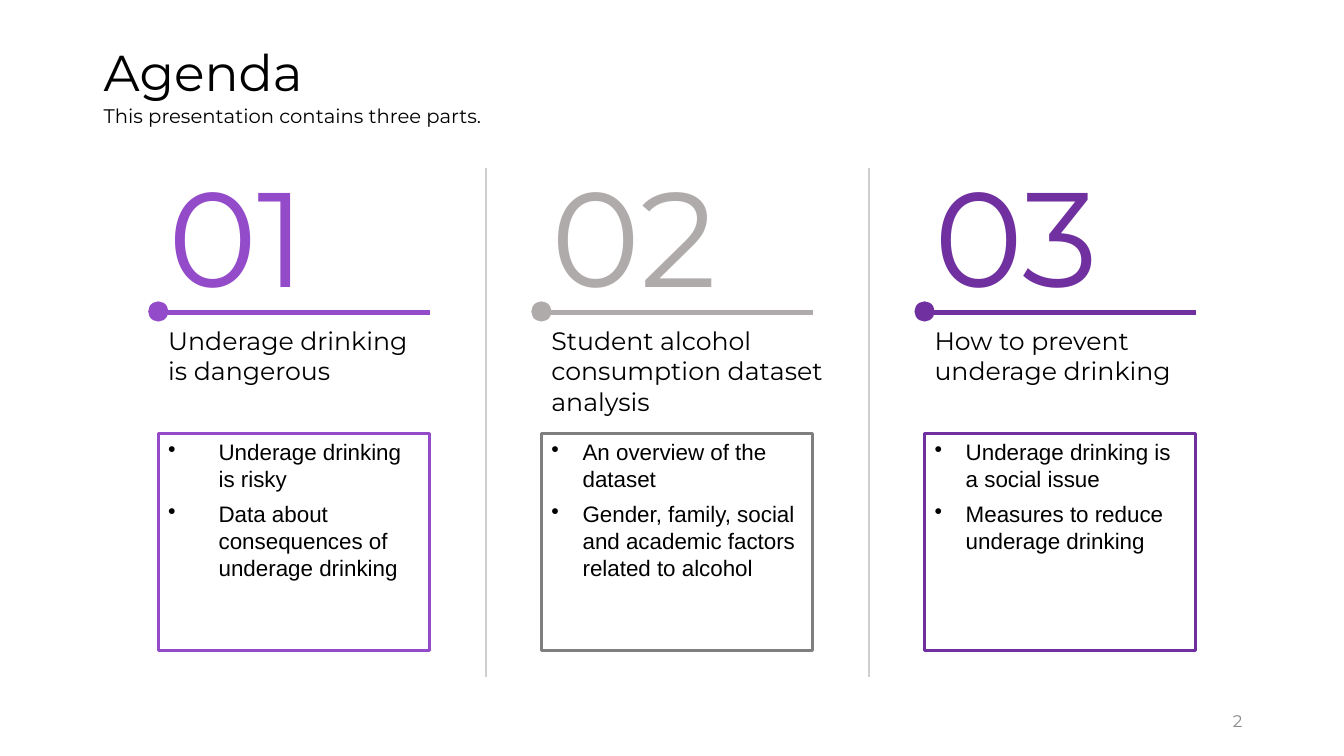
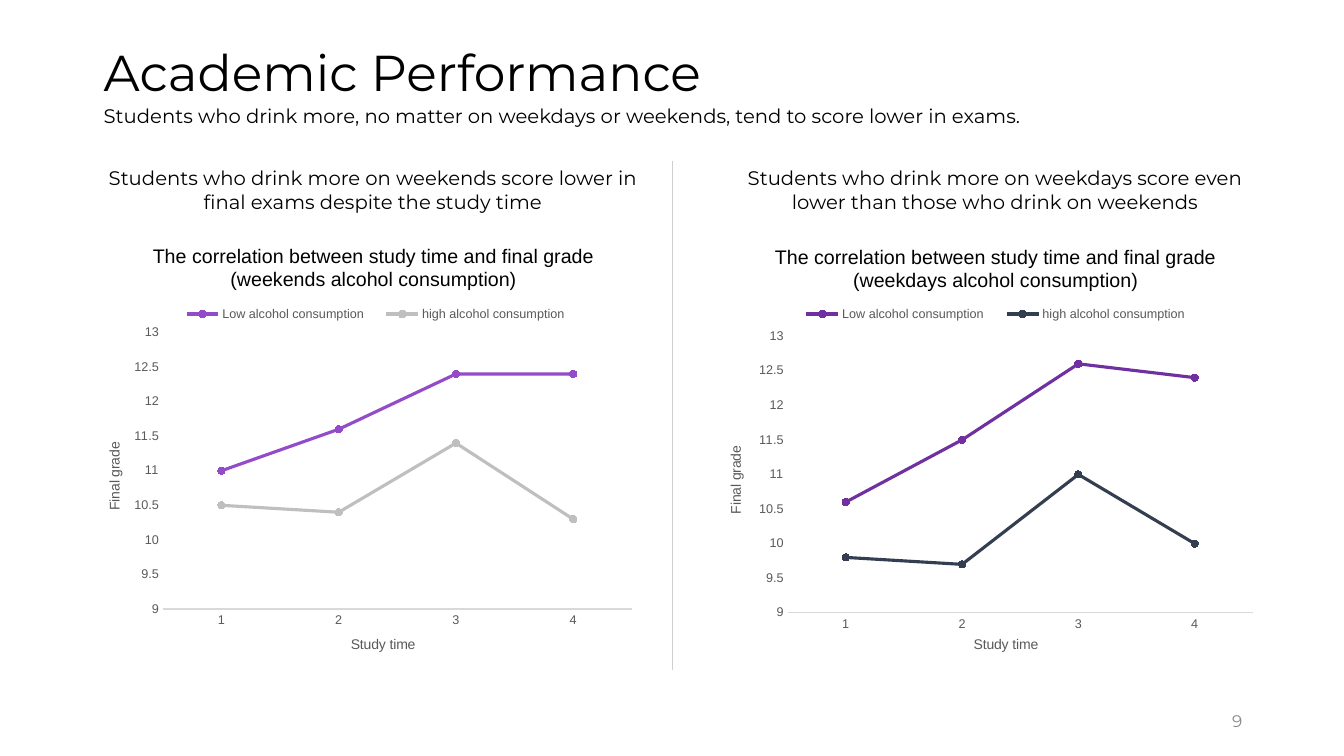
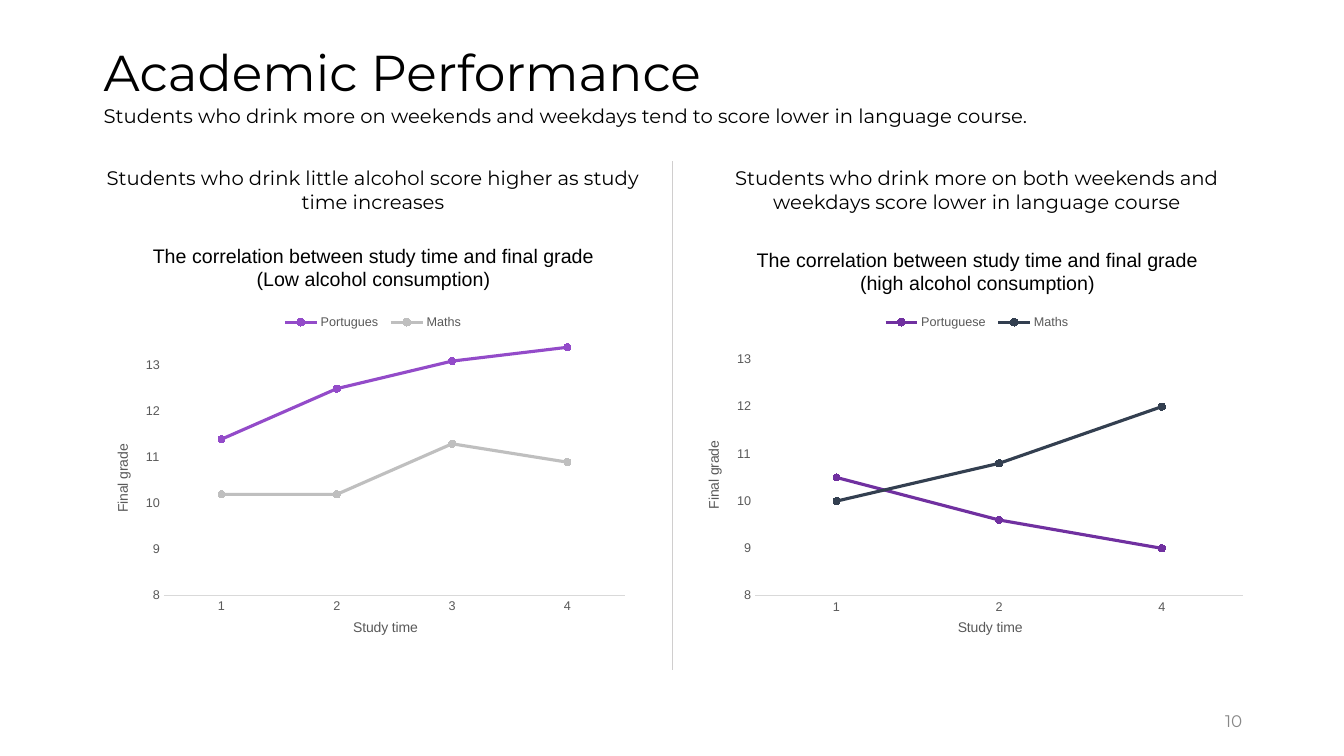
from pptx import Presentation
from pptx.chart.data import CategoryChartData
from pptx.dml.color import RGBColor
from pptx.enum.chart import XL_CHART_TYPE, XL_LEGEND_POSITION, XL_MARKER_STYLE, XL_TICK_MARK
from pptx.enum.shapes import MSO_CONNECTOR, MSO_SHAPE
from pptx.enum.text import MSO_ANCHOR, PP_ALIGN
from pptx.oxml.ns import qn
from pptx.oxml.xmlchemy import OxmlElement
from pptx.util import Inches, Pt

LINE_MARKERS = XL_CHART_TYPE.LINE_MARKERS
LEGEND_TOP = XL_LEGEND_POSITION.TOP
CIRCLE = XL_MARKER_STYLE.CIRCLE
NO_TICK = XL_TICK_MARK.NONE
STRAIGHT = MSO_CONNECTOR.STRAIGHT
OVAL, RECTANGLE = MSO_SHAPE.OVAL, MSO_SHAPE.RECTANGLE
TOP, MIDDLE = MSO_ANCHOR.TOP, MSO_ANCHOR.MIDDLE
LEFT, CENTER, RIGHT = PP_ALIGN.LEFT, PP_ALIGN.CENTER, PP_ALIGN.RIGHT

HEADING_FONT, BODY_FONT = "Montserrat", "Arial"
BLACK, DARK_GREY, PAGE_GREY = "000000", "595959", "888888"
RULE_GREY, AXIS_GREY, BOX_GREY = "D0CECE", "D9D9D9", "7F7F7F"
VIOLET, PURPLE = "934BC9", "7030A0"
WARM_GREY, SILVER, NAVY = "AFABAB", "BFBFBF", "333F50"

COLUMN_LEFT, COLUMN_PITCH, COLUMN_WIDTH = 1.57, 3.8, 2.69
RULE_TOP, DOT_SIZE = 3.1, 0.2
CORRELATION = "The correlation between study time and final grade"


def rgb(color):
    return RGBColor.from_string(color)


def box(left, top, width, height):
    return [Inches(value) for value in (left, top, width, height)]


def style_font(font, size, color, name):
    font.size, font.name, font.bold = Pt(size), name, False
    font.color.rgb = rgb(color)


def write(frame, lines, size, color=BLACK, font=HEADING_FONT, align=LEFT, anchor=TOP):
    """Fill a text frame with one paragraph per line and return the paragraphs."""
    frame.word_wrap = True
    frame.vertical_anchor = anchor
    for index, line in enumerate(lines):
        paragraph = frame.add_paragraph() if index else frame.paragraphs[0]
        paragraph.alignment = align
        run = paragraph.add_run()
        run.text = line
        style_font(run.font, size, color, font)
    return frame.paragraphs


def add_text(shapes, place, lines, size, **style):
    return write(shapes.add_textbox(*box(*place)).text_frame, lines, size, **style)


def add_line(shapes, x1, y1, x2, y2, color, weight):
    line = shapes.add_connector(STRAIGHT, *box(x1, y1, x2, y2))
    line.line.color.rgb = rgb(color)
    line.line.width = Pt(weight)
    line._element.spPr.append(OxmlElement("a:effectLst"))


def add_bullet(paragraph, indent):
    properties = paragraph._p.get_or_add_pPr()
    properties.set("marL", str(Inches(indent)))
    properties.set("indent", str(-Inches(indent)))
    bullet = OxmlElement("a:buChar")
    bullet.set("char", "•")
    properties.append(bullet)


def add_page(deck, title, subtitle, number):
    """Add a blank slide with the shared title, subtitle and page number."""
    shapes = deck.slides.add_slide(deck.slide_layouts[6]).shapes
    heading = add_text(shapes, (0.93, 0.02, 11.5, 1.45), [title], 36, anchor=MIDDLE)
    heading[0].line_spacing = 0.9
    add_text(shapes, (0.93, 0.98, 10.7, 0.34), [subtitle], 14)
    add_text(shapes, (9.42, 6.95, 3, 0.4), [str(number)], 12,
             color=PAGE_GREY, align=RIGHT, anchor=MIDDLE)
    return shapes


def add_agenda_column(shapes, index, heading, heading_width, points, indent, accent, border):
    left = COLUMN_LEFT + index * COLUMN_PITCH
    column = shapes.add_group_shape().shapes
    add_text(column, (left, 1.47, 2.01, 1.72), [f"{index + 1:02}"], 96, color=accent)
    add_line(column, left, RULE_TOP, left + COLUMN_WIDTH, RULE_TOP, accent, 3)

    dot = column.add_shape(OVAL, *box(left - DOT_SIZE / 2, RULE_TOP - DOT_SIZE / 2 - 0.01,
                                      DOT_SIZE, DOT_SIZE))
    dot.shadow.inherit = False
    dot.fill.solid()
    dot.fill.fore_color.rgb = rgb(accent)
    dot.line.fill.background()

    add_text(column, (left, 3.18, heading_width, 1.01), [heading], 18)

    frame = column.add_shape(RECTANGLE, *box(left, 4.3, COLUMN_WIDTH, 2.15))
    frame.shadow.inherit = False
    frame.fill.background()
    frame.line.color.rgb = rgb(border)
    frame.line.width = Pt(2.25)
    for position, paragraph in enumerate(write(frame.text_frame, points, 16, font=BODY_FONT)):
        if position:
            paragraph.space_before = Pt(6)
        add_bullet(paragraph, indent)


def make_layout(x, y, width, height, inner=False):
    """Build a manual chart layout from fractions of the chart area."""
    layout = OxmlElement("c:layout")
    manual = OxmlElement("c:manualLayout")
    layout.append(manual)
    settings = [("layoutTarget", "inner")] if inner else []
    settings += [("xMode", "edge"), ("yMode", "edge"),
                 ("x", x), ("y", y), ("w", width), ("h", height)]
    for tag, value in settings:
        setting = OxmlElement(f"c:{tag}")
        setting.set("val", str(value))
        manual.append(setting)
    return layout


def drop_layout(element):
    for layout in element.findall(qn("c:layout")):
        element.remove(layout)


def style_axis(axis, title):
    axis.has_major_gridlines = False
    axis.major_tick_mark = axis.minor_tick_mark = NO_TICK
    style_font(axis.tick_labels.font, 9, DARK_GREY, BODY_FONT)
    run = axis.axis_title.text_frame.paragraphs[0].add_run()
    run.text = title
    style_font(run.font, 10, DARK_GREY, BODY_FONT)


def add_grade_chart(shapes, place, categories, series, colors, scale, plot, legend_width):
    data = CategoryChartData()
    data.categories = categories
    for name, grades in series:
        data.add_series(name, grades)
    chart = shapes.add_chart(LINE_MARKERS, *box(*place), data).chart
    chart.has_title = False
    style_font(chart.font, 10, BLACK, BODY_FONT)

    style_axis(chart.category_axis, "Study time")
    chart.category_axis.format.line.color.rgb = rgb(AXIS_GREY)
    chart.category_axis.format.line.width = Pt(0.75)
    grades_axis = chart.value_axis
    style_axis(grades_axis, "Final grade")
    grades_axis.format.line.fill.background()
    grades_axis.minimum_scale, grades_axis.maximum_scale, grades_axis.major_unit = scale
    grades_axis.tick_labels.number_format = "General"
    grades_axis.tick_labels.number_format_is_linked = False

    chart.plots[0].vary_by_categories = False
    for line, color in zip(chart.plots[0].series, colors):
        line.smooth = False
        line.format.line.color.rgb = rgb(color)
        line.format.line.width = Pt(2.25)
        line.marker.style, line.marker.size = CIRCLE, 5
        line.marker.format.fill.solid()
        line.marker.format.fill.fore_color.rgb = rgb(color)
        line.marker.format.line.color.rgb = rgb(color)

    chart.has_legend = True
    legend = chart.legend
    legend.position = LEGEND_TOP
    legend.include_in_layout = False
    style_font(legend.font, 9, DARK_GREY, BODY_FONT)
    drop_layout(legend._element)
    legend_place = make_layout(round((1 - legend_width) / 2, 2), 0.04, legend_width, 0.06)
    legend._element.find(qn("c:legendPos")).addnext(legend_place)

    plot_area = chart._chartSpace.chart.plotArea
    drop_layout(plot_area)
    plot_area.insert(0, make_layout(*plot, inner=True))


def add_comparison(shapes, center, width, finding, condition, caption_top, **chart):
    """Add one half of a slide: finding, chart caption and chart."""
    add_text(shapes, (center - width / 2, 1.6, width, 0.57), [finding], 14, align=CENTER)
    add_text(shapes, (center - 2.92, caption_top, 5.85, 0.57),
             [CORRELATION, f"({condition} alcohol consumption)"], 14,
             font=BODY_FONT, align=CENTER)
    add_grade_chart(shapes, **chart)


def build_agenda(deck):
    shapes = add_page(deck, "Agenda", "This presentation contains three parts.", 2)
    for index in range(2):
        x = 4.82 + index * COLUMN_PITCH
        add_line(shapes, x, 1.67, x, 6.72, RULE_GREY, 1)
    columns = [
        ("Underage drinking is dangerous", 2.79,
         ["Underage drinking is risky", "Data about consequences of underage drinking"],
         0.5, VIOLET, VIOLET),
        ("Student alcohol consumption dataset analysis", 2.95,
         ["An overview of the dataset",
          "Gender, family, social and academic factors related to alcohol"],
         0.31, WARM_GREY, BOX_GREY),
        ("How to prevent underage drinking", 2.79,
         ["Underage drinking is a social issue", "Measures to reduce underage drinking"],
         0.31, PURPLE, PURPLE),
    ]
    for index, column in enumerate(columns):
        add_agenda_column(shapes, index, *column)


def build_performance(deck, subtitle, number, halves):
    shapes = add_page(deck, "Academic Performance", subtitle, number)
    add_line(shapes, 6.67, 1.6, 6.67, 6.65, RULE_GREY, 1)
    for half, width, colors in zip(halves, (5.66, 5.26), ((VIOLET, SILVER), (PURPLE, NAVY))):
        add_comparison(shapes, width=width, colors=colors, **half)


def main():
    deck = Presentation()
    deck.slide_width, deck.slide_height = Inches(13.33), Inches(7.5)
    build_agenda(deck)

    low, high = "Low alcohol consumption", "high alcohol consumption"
    by_day = dict(categories=["1", "2", "3", "4"], scale=(9, 13, 0.5), legend_width=0.76)
    build_performance(
        deck,
        "Students who drink more, no matter on weekdays or weekends, "
        "tend to score lower in exams.", 9,
        [dict(by_day, center=3.7, condition="weekends", caption_top=2.37,
              finding="Students who drink more on weekends score lower in "
                      "final exams despite the study time",
              place=(1.02, 2.86, 5.41, 3.66), plot=(0.11, 0.12, 0.86, 0.75),
              series=[(low, (11, 11.6, 12.4, 12.4)), (high, (10.5, 10.4, 11.4, 10.3))]),
         dict(by_day, center=9.87, condition="weekdays", caption_top=2.38,
              finding="Students who drink more on weekdays score even "
                      "lower than those who drink on weekends",
              place=(7.16, 2.86, 5.43, 3.66), plot=(0.12, 0.13, 0.85, 0.75),
              series=[(low, (10.6, 11.5, 12.6, 12.4)), (high, (9.8, 9.7, 11, 10))])])

    by_course = dict(scale=(8, 13.5, 1), legend_width=0.36)
    build_performance(
        deck,
        "Students who drink more on weekends and weekdays "
        "tend to score lower in language course.", 10,
        [dict(by_course, center=3.7, condition="Low", caption_top=2.37,
              finding="Students who drink little alcohol score higher as study time increases",
              place=(1.04, 2.96, 5.32, 3.39), plot=(0.11, 0.13, 0.86, 0.74),
              categories=["1", "2", "3", "4"],
              series=[("Portugues", (11.4, 12.5, 13.1, 13.4)),
                      ("Maths", (10.2, 10.2, 11.3, 10.9))]),
         dict(by_course, center=9.69, condition="high", caption_top=2.41,
              finding="Students who drink more on both weekends and "
                      "weekdays score lower in language course",
              place=(6.94, 2.96, 5.5, 3.39), plot=(0.1, 0.11, 0.88, 0.76),
              categories=["1", "2", "4"],
              series=[("Portuguese", (10.5, 9.6, 9)), ("Maths", (10, 10.8, 12))])])

    deck.save("out.pptx")


if __name__ == "__main__":
    main()
